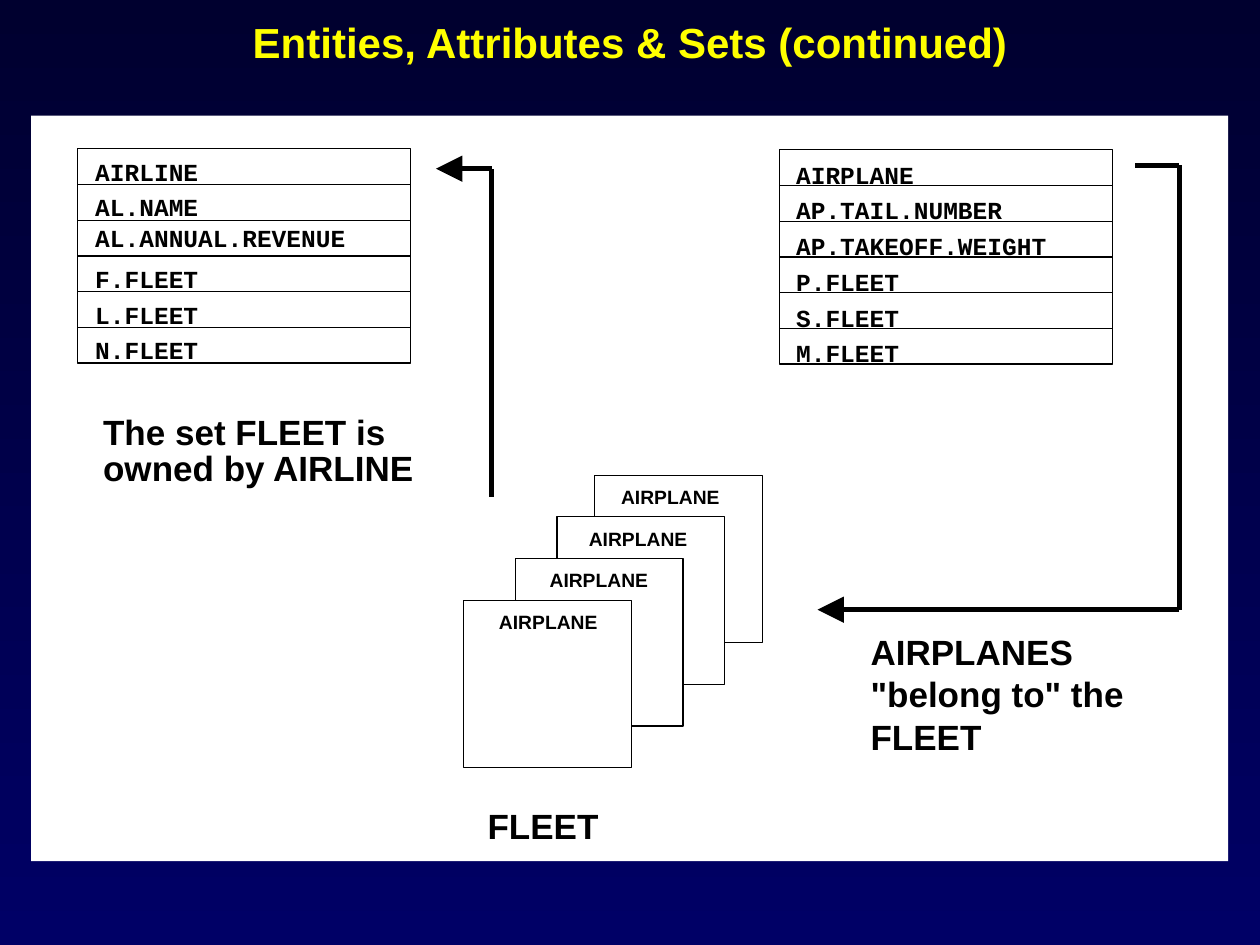
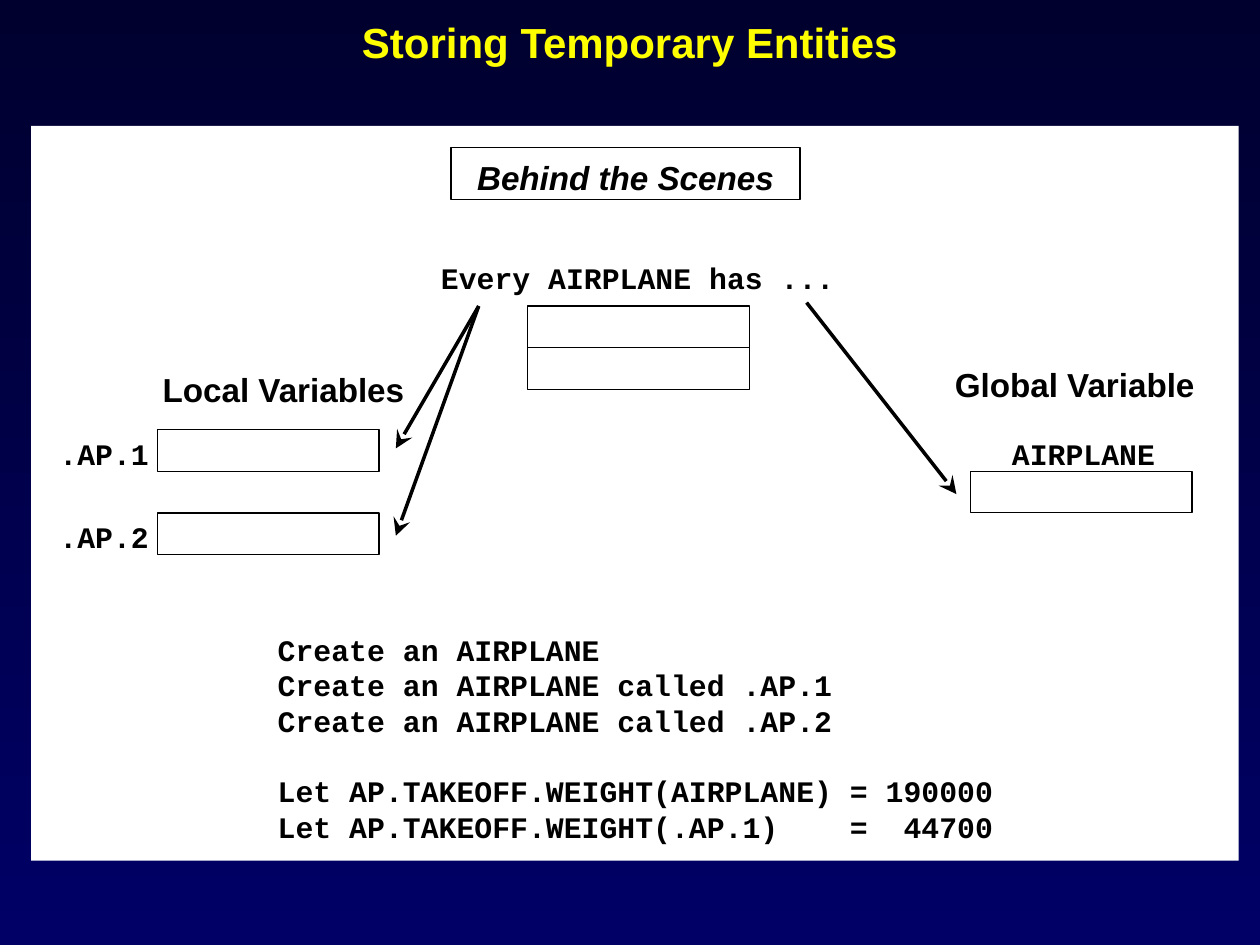
from lxml.etree import SubElement
from pptx import Presentation
from pptx.dml.color import RGBColor
from pptx.enum.shapes import MSO_CONNECTOR, MSO_SHAPE
from pptx.enum.text import MSO_ANCHOR, MSO_AUTO_SIZE, PP_ALIGN
from pptx.oxml.ns import qn
from pptx.util import Cm, Pt

NIGHT = RGBColor(0x00, 0x00, 0x2F)
NAVY = RGBColor(0x00, 0x00, 0x66)
YELLOW = RGBColor(0xFF, 0xFF, 0x00)
WHITE = RGBColor(0xFF, 0xFF, 0xFF)
BLACK = RGBColor(0x00, 0x00, 0x00)
SANS = "Arial"
MONO = "Courier New"
HAIRLINE = Pt(0)


def add_box(slide, left, top, width, height, fill=WHITE, line=BLACK):
    """Add a rectangle, measured in centimetres; None leaves out fill or line."""
    box = slide.shapes.add_shape(
        MSO_SHAPE.RECTANGLE, Cm(left), Cm(top), Cm(width), Cm(height))
    box.shadow.inherit = False
    if fill is None:
        box.fill.background()
    else:
        box.fill.solid()
        box.fill.fore_color.rgb = fill
    if line is None:
        box.line.fill.background()
    else:
        box.line.color.rgb = line
        box.line.width = HAIRLINE
    return box


def set_text(shape, text, size, font, inset_left=0, inset_top=0,
             align=PP_ALIGN.LEFT, spacing=None):
    """Write bold black lines from the top left of a shape."""
    frame = shape.text_frame
    frame.word_wrap = True
    frame.vertical_anchor = MSO_ANCHOR.TOP
    frame.margin_left, frame.margin_top = Cm(inset_left), Cm(inset_top)
    frame.margin_right = frame.margin_bottom = 0
    frame.text = text
    for paragraph in frame.paragraphs:
        paragraph.alignment = align
        paragraph.line_spacing = spacing
        paragraph.font.name = font
        paragraph.font.size = Pt(size)
        paragraph.font.bold = True
        paragraph.font.color.rgb = BLACK


presentation = Presentation()
presentation.slide_width = Cm(25.4)
presentation.slide_height = Cm(19.05)

# Shared background and titles
background = presentation.slide_master.background.fill
background.gradient()
background.gradient_angle = 270
for stop, color in zip(background.gradient_stops, (NIGHT, NAVY)):
    stop.color.rgb = color

titles = ["Entities, Attributes & Sets (continued)", "Storing Temporary Entities"]
for text in titles:
    slide = presentation.slides.add_slide(presentation.slide_layouts[5])
    title = slide.shapes.title
    title.left, title.top, title.width, title.height = Cm(1.9), Cm(0.2), Cm(21.6), Cm(1.27)
    title.text_frame.text = text
    title.text_frame.auto_size = MSO_AUTO_SIZE.NONE
    title.text_frame.vertical_anchor = MSO_ANCHOR.MIDDLE
    paragraph = title.text_frame.paragraphs[0]
    paragraph.alignment = PP_ALIGN.CENTER
    paragraph.font.name = SANS
    paragraph.font.size = Pt(24)
    paragraph.font.bold = True
    paragraph.font.color.rgb = YELLOW
sets_slide, storing_slide = presentation.slides

# Slide 1: two records and the fleet of airplanes
add_box(sets_slide, 0.63, 2.33, 24.13, 15.03, line=None)

ROW_HEIGHT = 0.72
records = [
    (1.57, 3.0, 0.35, 0.16, ["AIRLINE", "AL.NAME", "AL.ANNUAL.REVENUE",
                             "F.FLEET", "L.FLEET", "N.FLEET"]),
    (15.72, 3.02, 0.33, 0.2, ["AIRPLANE", "AP.TAIL.NUMBER", "AP.TAKEOFF.WEIGHT",
                              "P.FLEET", "S.FLEET", "M.FLEET"]),
]
for left, top, inset_left, inset_top, fields in records:
    for row, field in enumerate(fields):
        box = add_box(sets_slide, left, top + row * ROW_HEIGHT, 6.71, ROW_HEIGHT, fill=None)
        raised = field == "AL.ANNUAL.REVENUE"
        set_text(box, field, 14, MONO, inset_left, 0.05 if raised else inset_top)

cards = [(11.99, 0.53), (11.23, 0.64), (10.39, 0.69), (9.35, 0.71)]
for index, (left, inset_left) in enumerate(cards):
    card = add_box(sets_slide, left, 9.58 + index * 0.84, 3.38, 3.38)
    set_text(card, "AIRPLANE", 11, SANS, inset_left, 0.2)

# Slide 2: variables that hold the entities
add_box(storing_slide, 0.63, 2.54, 24.34, 14.81, line=None)
heading = add_box(storing_slide, 9.09, 2.97, 7.04, 1.06)
set_text(heading, "Behind the Scenes", 19, SANS, inset_top=0.2, align=PP_ALIGN.CENTER)
heading.text_frame.paragraphs[0].font.italic = True

cells = [(10.64, 6.17), (10.64, 7.01), (3.17, 8.66), (3.17, 10.34), (19.56, 9.5)]
for left, top in cells:
    add_box(storing_slide, left, top, 4.47, 0.84)

code = storing_slide.shapes.add_textbox(Cm(5.6), Cm(12.73), Cm(14.8), Cm(4.14))
set_text(code, "\n".join([
    "Create an AIRPLANE",
    "Create an AIRPLANE called .AP.1",
    "Create an AIRPLANE called .AP.2",
    "Let AP.TAKEOFF.WEIGHT(AIRPLANE) = 190000",
    "Let AP.TAKEOFF.WEIGHT(.AP.1)    =  44700",
]), 17, MONO)
code.text_frame.paragraphs[3].space_before = Pt(19.5)

# Labels: slide, text, left, top, width, height, size, font, line spacing
labels = [
    (sets_slide, "The set FLEET is\nowned by AIRLINE", 2.08, 8.39, 7, 1.5, 20, SANS, Pt(20.7)),
    (sets_slide, 'AIRPLANES\n"belong to" the\nFLEET', 17.55, 12.7, 6, 2.54, 20, SANS, Pt(24.3)),
    (sets_slide, "FLEET", 9.83, 16.21, 2.6, 0.84, 20, SANS, None),
    (storing_slide, "Every AIRPLANE has ...", 8.89, 5.23, 8.3, 0.71, 17, MONO, None),
    (storing_slide, ".AP.1", 1.2, 8.79, 1.95, 0.71, 17, MONO, None),
    (storing_slide, ".AP.2", 1.2, 10.45, 1.95, 0.71, 17, MONO, None),
    (storing_slide, "AIRPLANE", 20.4, 8.79, 3.1, 0.71, 17, MONO, None),
    (storing_slide, "Local Variables", 3.28, 7.44, 5.2, 0.81, 19, SANS, None),
    (storing_slide, "Global Variable", 19.25, 7.34, 5.2, 0.81, 19, SANS, None),
]
for slide, text, left, top, width, height, size, font, spacing in labels:
    label = slide.shapes.add_textbox(Cm(left), Cm(top), Cm(width), Cm(height))
    set_text(label, text, size, font, spacing=spacing)

# Arrows: slide, line width, head, corner points
arrows = [
    (sets_slide, Pt(3), "triangle", [(9.91, 10.01), (9.91, 3.4), (8.79, 3.4)]),
    (sets_slide, Pt(3), "triangle",
     [(22.89, 3.33), (23.77, 3.33), (23.77, 12.29), (16.48, 12.29)]),
    (storing_slide, HAIRLINE, "stealth", [(9.65, 6.17), (7.98, 9.04)]),
    (storing_slide, HAIRLINE, "stealth", [(9.65, 6.17), (7.98, 10.8)]),
    (storing_slide, HAIRLINE, "stealth", [(16.26, 6.1), (19.28, 9.96)]),
]
for slide, width, head, points in arrows:
    for (x1, y1), (x2, y2) in zip(points, points[1:]):
        connector = slide.shapes.add_connector(
            MSO_CONNECTOR.STRAIGHT, Cm(x1), Cm(y1), Cm(x2), Cm(y2))
        connector.line.color.rgb = BLACK
        connector.line.width = width
        properties = connector.element.spPr
        SubElement(properties, qn("a:effectLst"))
    # The last segment carries the head
    SubElement(properties.find(qn("a:ln")), qn("a:tailEnd"), type=head, w="lg", len="lg")

presentation.save("out.pptx")
